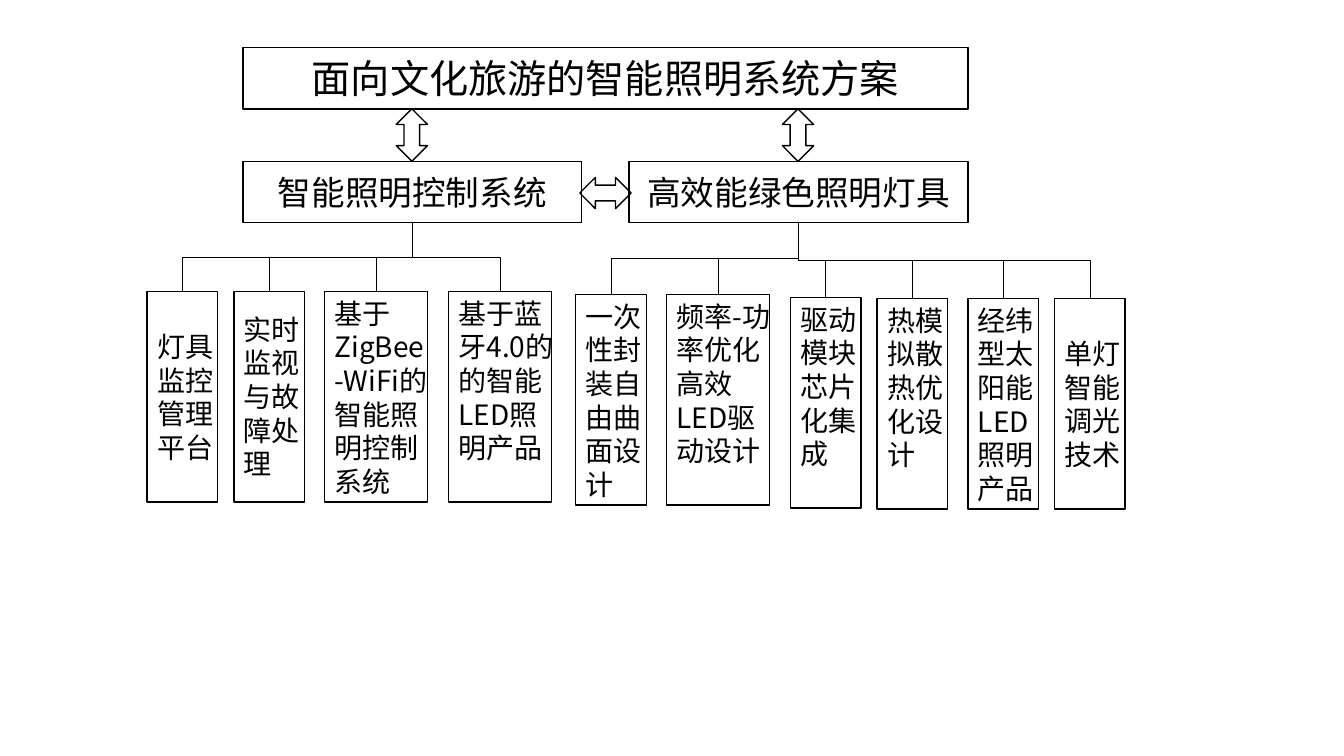
import pptx
import pptx.dml.color
import pptx.enum.shapes
import pptx.enum.text
import pptx.oxml
import pptx.oxml.ns
import pptx.util
from pptx.util import Inches

COLORS = {"ink": "000000"}
FONT = "Noto Sans CJK SC"
SHAPES = pptx.enum.shapes.MSO_SHAPE
ALIGN = pptx.enum.text.PP_ALIGN
ANCHOR = pptx.enum.text.MSO_ANCHOR

# Box rows: top and height in inches
TITLE_TOP, SYSTEM_TOP, BAR_HEIGHT = 0.47, 1.6, 0.61
SYSTEM_WIDTH, LEAF_HEIGHT, LINE_HEIGHT = 3.36, 2.09, 0.34
# Leaf width and the width of its text frame
NARROW, WIDE = (0.7, 0.86), (1.02, 1.14)

# Each system: name, left, leaves (text, left, top, widths, text offset, text lines)
SYSTEMS = [
    ("智能照明控制系统", 2.41, [
        ("灯具监控管理平台", 1.46, 2.89, NARROW, 0.33, 4),
        ("实时监视与故障处理", 2.32, 2.89, NARROW, 0.16, 5),
        ("基于ZigBee-WiFi的智能照明控制系统", 3.22, 2.89, WIDE, 0, 6),
        ("基于蓝牙4.0的的智能LED照明产品", 4.45, 2.89, WIDE, 0, 6),
    ]),
    ("高效能绿色照明灯具", 6.24, [
        ("一次性封装自由曲面设计", 5.71, 2.92, NARROW, 0, 6),
        ("频率-功率优化高效LED驱动设计", 6.61, 2.92, WIDE, 0, 5),
        ("驱动模块芯片化集成", 7.84, 2.95, NARROW, 0, 5),
        ("热模拟散热优化设计", 8.7, 2.96, NARROW, 0, 5),
        ("经纬型太阳能LED照明产品", 9.6, 2.96, NARROW, 0, 6),
        ("单灯智能调光技术", 10.46, 2.96, NARROW, 0.33, 4),
    ]),
]


def ink():
    return pptx.dml.color.RGBColor.from_string(COLORS["ink"])


def apply(target, values):
    for name, value in values.items():
        setattr(target, name, value)


def outline(item, points):
    item.line.color.rgb = ink()
    item.line.width = pptx.util.Pt(points)


def write(box, text, size, align, anchor):
    frame = box.text_frame
    apply(frame, {
        "word_wrap": True,
        "auto_size": pptx.enum.text.MSO_AUTO_SIZE.NONE,
        "vertical_anchor": anchor,
    })
    para = frame.paragraphs[0]
    para.alignment = align
    span = para.add_run()
    span.text = text
    apply(span.font, {"name": FONT, "size": pptx.util.Pt(size)})
    span.font.color.rgb = ink()
    # East Asian glyphs take their own typeface entry
    east = pptx.oxml.parse_xml(
        f'<a:ea {pptx.oxml.ns.nsdecls("a")} typeface="{FONT}"/>')
    span.font._element.find(pptx.oxml.ns.qn("a:latin")).addnext(east)


def add_outlined(page, kind, left, top, width, height):
    box = page.shapes.add_shape(
        kind, Inches(left), Inches(top), Inches(width), Inches(height))
    box.shadow.inherit = False
    box.fill.background()
    outline(box, 1)
    return box


def add_title(page, text, left, width):
    box = page.shapes.title
    apply(box, {"left": Inches(left), "top": Inches(TITLE_TOP),
                "width": Inches(width), "height": Inches(BAR_HEIGHT)})
    outline(box, 1)
    write(box, text, 28, ALIGN.CENTER, ANCHOR.MIDDLE)


def add_leaf(page, text, left, top, widths, offset, lines):
    box_width, text_width = widths
    add_outlined(page, SHAPES.RECTANGLE, left, top, box_width, LEAF_HEIGHT)
    label = page.shapes.add_textbox(
        Inches(left), Inches(top + offset),
        Inches(text_width), Inches(lines * LINE_HEIGHT + 0.1))
    write(label, text, 20, ALIGN.LEFT, ANCHOR.TOP)


def add_branch(page, start_x, start_y, end_x, end_y):
    """Elbow that leaves downwards: a quarter-turned horizontal elbow."""
    center_x, center_y = (start_x + end_x) / 2, (start_y + end_y) / 2
    rightward = end_x > start_x
    half_run = (end_y - start_y) / 2 * (-1 if rightward else 1)
    half_rise = abs(end_x - start_x) / 2
    branch = page.shapes.add_connector(
        pptx.enum.shapes.MSO_CONNECTOR.ELBOW,
        Inches(center_x - half_run), Inches(center_y - half_rise),
        Inches(center_x + half_run), Inches(center_y + half_rise))
    outline(branch, 0.5)
    properties = branch._element.spPr
    turn = 270 if rightward else 90
    properties.find(pptx.oxml.ns.qn("a:xfrm")).set("rot", str(turn * 60000))
    properties.append(pptx.oxml.parse_xml(
        f'<a:effectLst {pptx.oxml.ns.nsdecls("a")}/>'))


def add_system(page, name, left, leaves):
    box = add_outlined(
        page, SHAPES.RECTANGLE, left, SYSTEM_TOP, SYSTEM_WIDTH, BAR_HEIGHT)
    write(box, name, 24, ALIGN.CENTER, ANCHOR.MIDDLE)
    center = left + SYSTEM_WIDTH / 2
    title_bottom = TITLE_TOP + BAR_HEIGHT
    add_outlined(page, SHAPES.UP_DOWN_ARROW, center - 0.16, title_bottom,
                 0.31, SYSTEM_TOP - title_bottom)
    for text, leaf_left, top, widths, offset, lines in leaves:
        add_leaf(page, text, leaf_left, top, widths, offset, lines)
        add_branch(page, center, SYSTEM_TOP + BAR_HEIGHT,
                   leaf_left + widths[0] / 2, top)


def main():
    deck = pptx.Presentation()
    apply(deck, {"slide_width": Inches(13.33), "slide_height": Inches(7.5)})
    page = deck.slides.add_slide(deck.slide_layouts[5])

    # Overall scheme
    add_title(page, "面向文化旅游的智能照明系统方案", 2.41, 7.19)

    # Two systems with their leaves, and the link between them
    for name, left, leaves in SYSTEMS:
        add_system(page, name, left, leaves)
    add_outlined(page, SHAPES.LEFT_RIGHT_ARROW, 5.75, 1.76, 0.51, 0.31)

    deck.save("out.pptx")


main()
